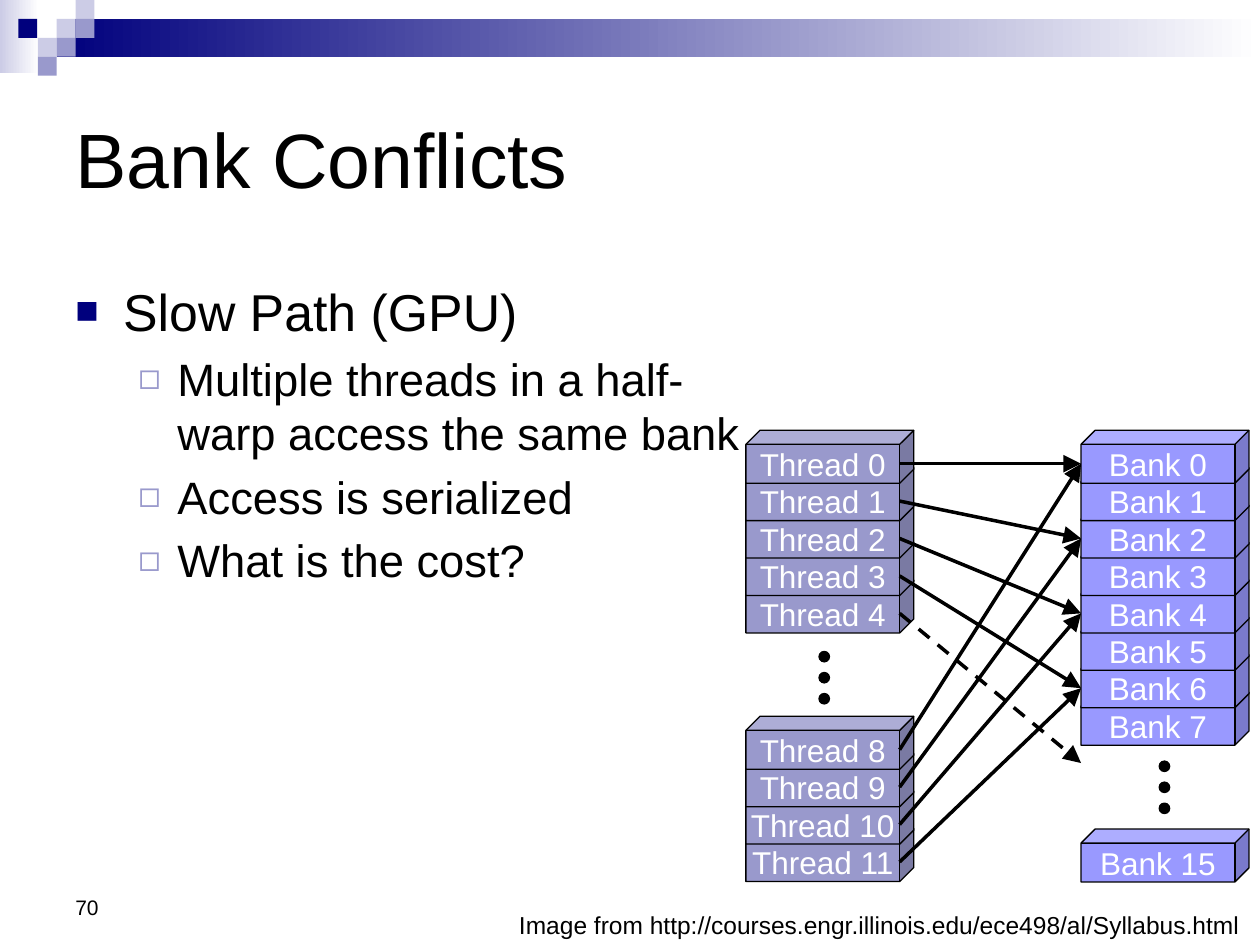
import pptx
import pptx.util
import pptx.dml.color
import pptx.enum.dml
import pptx.enum.shapes
import pptx.enum.text
from lxml import etree

SHAPE = pptx.enum.shapes.MSO_SHAPE
ALIGN = pptx.enum.text.PP_ALIGN
ANCHOR = pptx.enum.text.MSO_ANCHOR
COLS, ROWS = 100, 75
BLACK, WHITE, NAVY, PALE, MID = "000000", "FFFFFF", "00007D", "CCCCE6", "9999CC"
BANK = "9999FF"


def rgb(code):
    return pptx.dml.color.RGBColor.from_string(code)


def node(parent, tag, **attrs):
    """Append a drawing element to parent."""
    return etree.SubElement(parent, pptx.oxml.ns.qn(tag), **attrs)


def write(para, text, size=18, color=BLACK, font="Arial", align=ALIGN.LEFT,
          before=0):
    para.alignment = align
    para.space_before = pptx.util.Pt(before)
    run = para.add_run()
    run.text = text
    run.font.size = pptx.util.Pt(size)
    run.font.name = font
    run.font.color.rgb = rgb(color)


def bullet(para, mark, color, share, left, hang):
    props = para._p.get_or_add_pPr()
    props.set("marL", str(pptx.util.Inches(left)))
    props.set("indent", str(-pptx.util.Inches(hang)))
    tint = node(props, "a:buClr")
    node(tint, "a:srgbClr", val=color)
    node(props, "a:buSzPct", val=str(share * 1000))
    node(props, "a:buFont", typeface="Arial")
    node(props, "a:buChar", char=mark)


class Deck:
    """Style and current slide; lengths are cells of a 100 by 75 grid."""

    def __init__(self):
        self.prs = pptx.Presentation()
        self.prs.slide_width = pptx.util.Inches(10)
        self.prs.slide_height = pptx.util.Inches(7.5)
        self.slide = self.prs.slides.add_slide(self.prs.slide_layouts[5])

    def cells(self, *spots):
        """Turn alternating columns and rows into lengths."""
        units = (self.prs.slide_width / COLS, self.prs.slide_height / ROWS)
        return [round(spot * units[i % 2]) for i, spot in enumerate(spots)]

    def title(self, text, *box):
        head = self.slide.shapes.title
        head.left, head.top, head.width, head.height = self.cells(*box)
        head.text_frame.vertical_anchor = ANCHOR.MIDDLE
        write(head.text_frame.paragraphs[0], text, size=44)

    def text(self, *box, anchor=ANCHOR.TOP):
        frame = self.slide.shapes.add_textbox(*self.cells(*box)).text_frame
        frame.word_wrap = True
        frame.vertical_anchor = anchor
        return frame

    def shape(self, kind, fill, *box, edge=BLACK):
        item = self.slide.shapes.add_shape(kind, *self.cells(*box))
        item.shadow.inherit = False
        item.fill.solid()
        item.fill.fore_color.rgb = rgb(fill)
        if edge:
            item.line.color.rgb = rgb(edge)
            item.line.width = pptx.util.Pt(0.75)
        else:
            item.line.fill.background()
        return item

    def fade(self, color, *box):
        """Draw a band that fades from color to white."""
        fill = self.shape(SHAPE.RECTANGLE, color, *box, edge=None).fill
        fill.gradient()
        fill.gradient_angle = 0
        for stop, tone, spot in zip(fill.gradient_stops, (color, WHITE), (0, 1)):
            stop.color.rgb = rgb(tone)
            stop.position = spot

    def cube(self, text, fill, left, top):
        item = self.shape(SHAPE.CUBE, fill, left, top, 13.33, 4.2)
        item.adjustments[0] = 0.266
        frame = item.text_frame
        frame.word_wrap = False
        frame.vertical_anchor = ANCHOR.MIDDLE
        frame.margin_top = frame.margin_bottom = 0
        write(frame.paragraphs[0], text, color=WHITE, align=ALIGN.CENTER)

    def stack(self, name, nums, fill, left, top, pitch):
        """Pile cubes from the bottom up so each top is covered."""
        for i, num in reversed(list(enumerate(nums))):
            self.cube(f"{name} {num}", fill, left, top + i * pitch)

    def dots(self, left, top):
        for i in range(3):
            self.shape(SHAPE.OVAL, BLACK, left, top + i * 1.67, 0.83, 0.83)

    def arrow(self, *ends, dash=False):
        link = self.slide.shapes.add_connector(
            pptx.enum.shapes.MSO_CONNECTOR.STRAIGHT, *self.cells(*ends))
        link.line.color.rgb = rgb(BLACK)
        link.line.width = pptx.util.Pt(2)
        if dash:
            link.line.dash_style = pptx.enum.dml.MSO_LINE.DASH
        node(link.line._get_or_add_ln(), "a:tailEnd", type="triangle",
             w="lg", len="lg")
        node(link._element.spPr, "a:effectLst")


def banner(deck):
    deck.fade(PALE, 0, 0, 3.1, 5.8)
    deck.fade(NAVY, 4.5, 1.5, 95.5, 3)
    tiles = [(4.5, 1.5, PALE), (6, 0, PALE), (6, 1.5, MID), (3, 3, PALE),
             (1.45, 1.5, NAVY), (4.5, 3, MID), (3, 4.5, MID)]
    for left, top, fill in tiles:
        deck.shape(SHAPE.RECTANGLE, fill, left, top, 1.5, 1.5, edge=None)


def points(deck):
    frame = deck.text(5, 21.7, 55, 21.7)
    lead = frame.paragraphs[0]
    bullet(lead, "■", NAVY, 75, 0.38, 0.38)
    write(lead, "Slow Path (GPU)", size=29.6)
    for text in ("Multiple threads in a half-warp access the same bank",
                 "Access is serialized", "What is the cost?"):
        para = frame.add_paragraph()
        para.level = 1
        bullet(para, "◻", MID, 80, 0.81, 0.31)
        write(para, text, size=25.9, before=5.2)


def diagram(deck):
    first, later, last, pitch = 34.15, 56.85, 65.8, 2.97
    left, right, mid = 59.2, 85.8, 2.65
    start = left + 12.2
    deck.stack("Thread", range(8, 12), MID, left, later, pitch)
    deck.stack("Thread", range(5), MID, left, first, pitch)
    deck.dots(65, 51.7)
    for top in (first, later):
        for i in range(4):
            deck.arrow(start, top + mid + i * pitch,
                       right, first + mid + 2 * i * pitch)
    deck.arrow(start, first + mid + 4 * pitch,
               right, first + mid + 8 * pitch, dash=True)
    deck.stack("Bank", [15], BANK, right, last, pitch)
    deck.stack("Bank", range(8), BANK, right, first, pitch)
    deck.dots(92, 60.4)


def main():
    deck = Deck()
    banner(deck)
    deck.title("Bank Conflicts", 5, 5, 90, 15)
    credit = deck.text(0, 71.7, 99.4, 3.4)
    write(credit.paragraphs[0],
          "Image from http://courses.engr.illinois.edu/ece498/al/Syllabus.html",
          size=14, align=ALIGN.RIGHT)
    points(deck)
    diagram(deck)
    page = deck.text(5, 68.3, 23.3, 5.2, anchor=ANCHOR.BOTTOM)
    write(page.paragraphs[0], "70", size=12)
    deck.prs.save("out.pptx")


if __name__ == "__main__":
    main()
